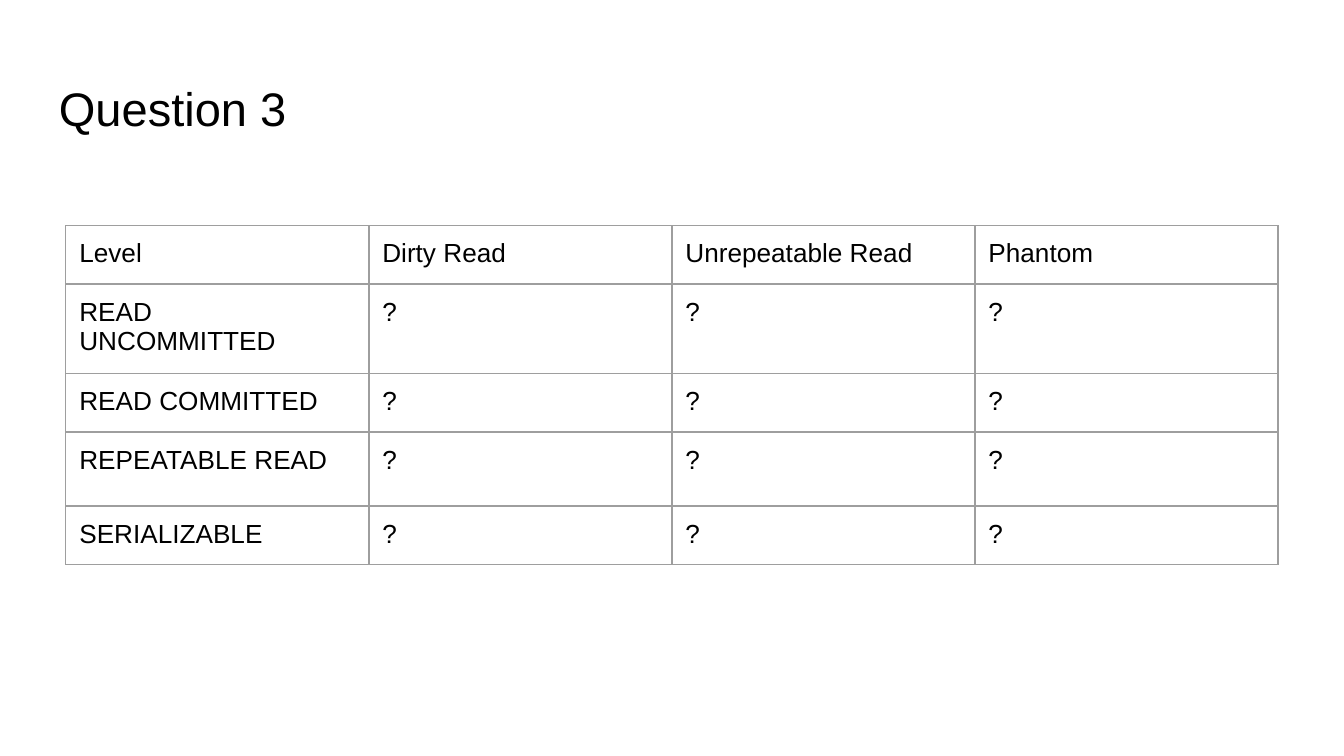
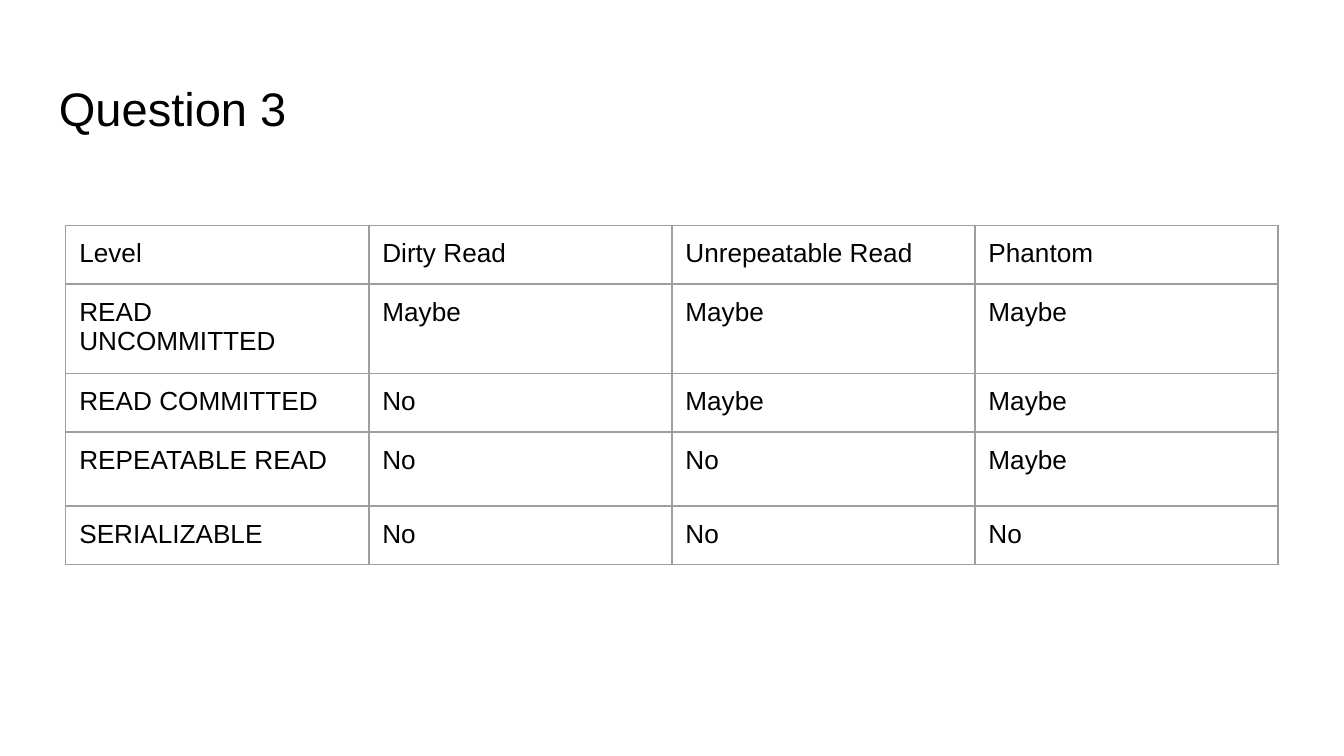
"""Build the two Question 3 slides: isolation levels, then their answers."""
from lxml.etree import SubElement
from pptx import Presentation
from pptx.dml.color import RGBColor
from pptx.enum.text import MSO_ANCHOR
from pptx.oxml.ns import qn
from pptx.util import Inches, Pt

TITLE = "Question 3"
HEADINGS = ["Level", "Dirty Read", "Unrepeatable Read", "Phantom"]
LEVELS = ["READ UNCOMMITTED", "READ COMMITTED", "REPEATABLE READ", "SERIALIZABLE"]
UNANSWERED = [["?"] * 3 for _ in LEVELS]
ANSWERED = [
    ["Maybe", "Maybe", "Maybe"],
    ["No", "Maybe", "Maybe"],
    ["No", "No", "Maybe"],
    ["No", "No", "No"],
]

COLORS = {"background": "FFFFFF", "text": "000000", "border": "9E9E9E"}
FONT = "Arial"
WIDTH = 10
HEIGHT = WIDTH * 9 / 16
TITLE_LEFT, TITLE_TOP, TITLE_HEIGHT = 0.34, 0.49, 0.63
GRID_LEFT, GRID_TOP, GRID_WIDTH = 0.49, 1.68, 9.02
COLUMN_WIDTH = GRID_WIDTH / len(HEADINGS)
ROW_HEIGHTS = [0.36, 0.55, 0.36, 0.55, 0.36]
INSET = Inches(0.1)
BORDER_WIDTH = Pt(0.75)


def write(frame, text, size=14, color="text", font=FONT):
    frame.word_wrap = True
    paragraph = frame.paragraphs[0]
    paragraph.line_spacing = 1.0
    paragraph.space_before = paragraph.space_after = Pt(0)
    run = paragraph.add_run()
    run.text = text
    run.font.size = Pt(size)
    run.font.name = font
    run.font.color.rgb = RGBColor.from_string(COLORS[color])


def set_insets(holder):
    holder.margin_left = holder.margin_right = INSET
    holder.margin_top = holder.margin_bottom = INSET
    holder.vertical_anchor = MSO_ANCHOR.TOP


def add_borders(cell):
    properties = cell._tc.get_or_add_tcPr()
    for side in ("a:lnL", "a:lnR", "a:lnT", "a:lnB"):
        line = SubElement(properties, qn(side), w=str(int(BORDER_WIDTH)))
        fill = SubElement(line, qn("a:solidFill"))
        SubElement(fill, qn("a:srgbClr"), val=COLORS["border"])


def add_title(slide):
    box = slide.shapes.add_textbox(
        Inches(TITLE_LEFT), Inches(TITLE_TOP),
        Inches(WIDTH - 2 * TITLE_LEFT), Inches(TITLE_HEIGHT))
    set_insets(box.text_frame)
    write(box.text_frame, TITLE, size=25.2)


def add_levels(slide, answers):
    rows = [HEADINGS] + [[level, *marks] for level, marks in zip(LEVELS, answers)]
    levels = slide.shapes.add_table(
        len(rows), len(HEADINGS), Inches(GRID_LEFT), Inches(GRID_TOP),
        Inches(GRID_WIDTH), Inches(sum(ROW_HEIGHTS))).table
    levels.first_row = levels.horz_banding = False
    for column in levels.columns:
        column.width = Inches(COLUMN_WIDTH)
    for row, height, texts in zip(levels.rows, ROW_HEIGHTS, rows):
        row.height = Inches(height)
        for cell, text in zip(row.cells, texts):
            set_insets(cell)
            add_borders(cell)
            cell.fill.background()
            write(cell.text_frame, text)


def main():
    deck = Presentation()
    deck.slide_width, deck.slide_height = Inches(WIDTH), Inches(HEIGHT)
    for answers in (UNANSWERED, ANSWERED):
        slide = deck.slides.add_slide(deck.slide_layouts[6])
        slide.background.fill.solid()
        slide.background.fill.fore_color.rgb = RGBColor.from_string(COLORS["background"])
        add_title(slide)
        add_levels(slide, answers)
    deck.save("out.pptx")


if __name__ == "__main__":
    main()
